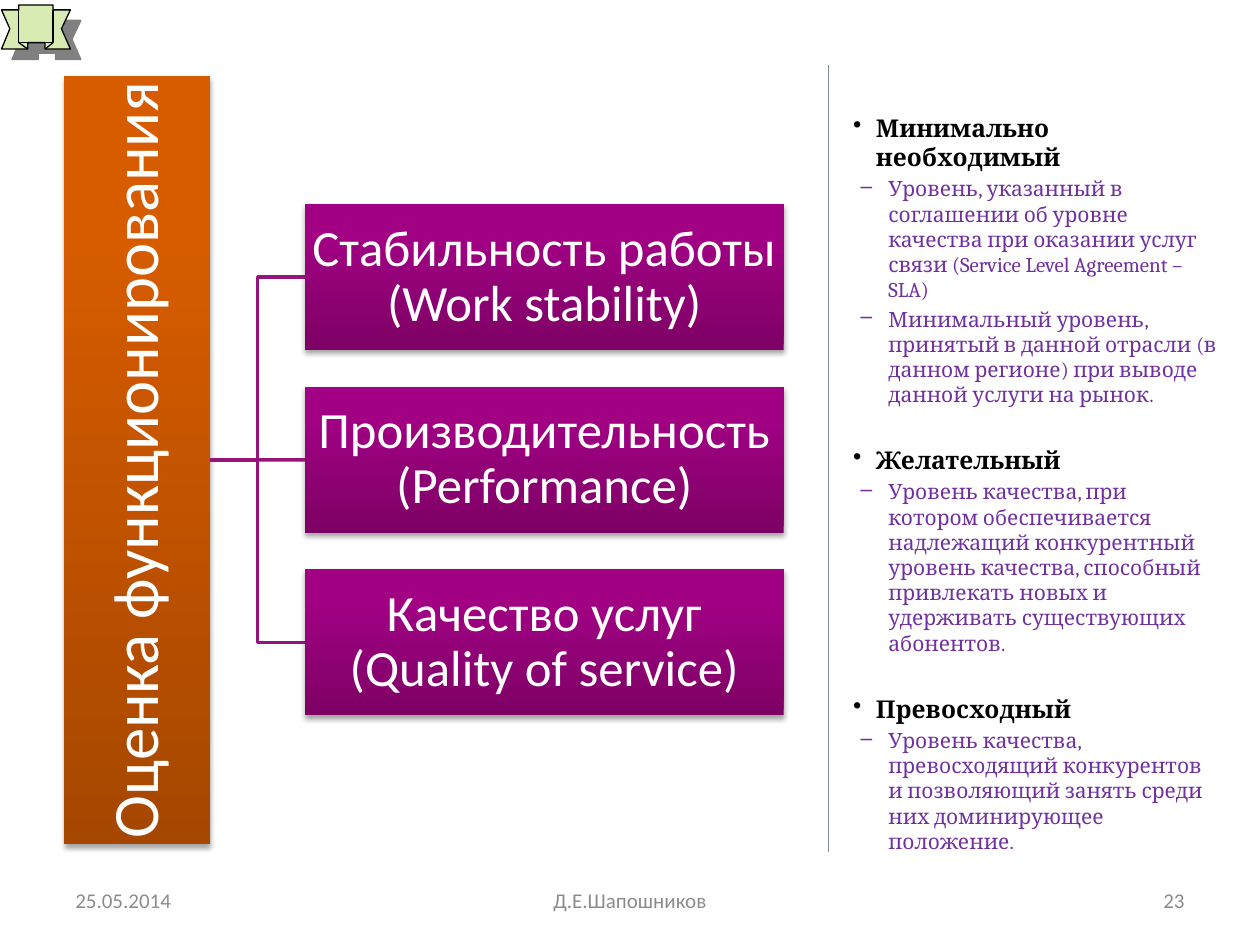
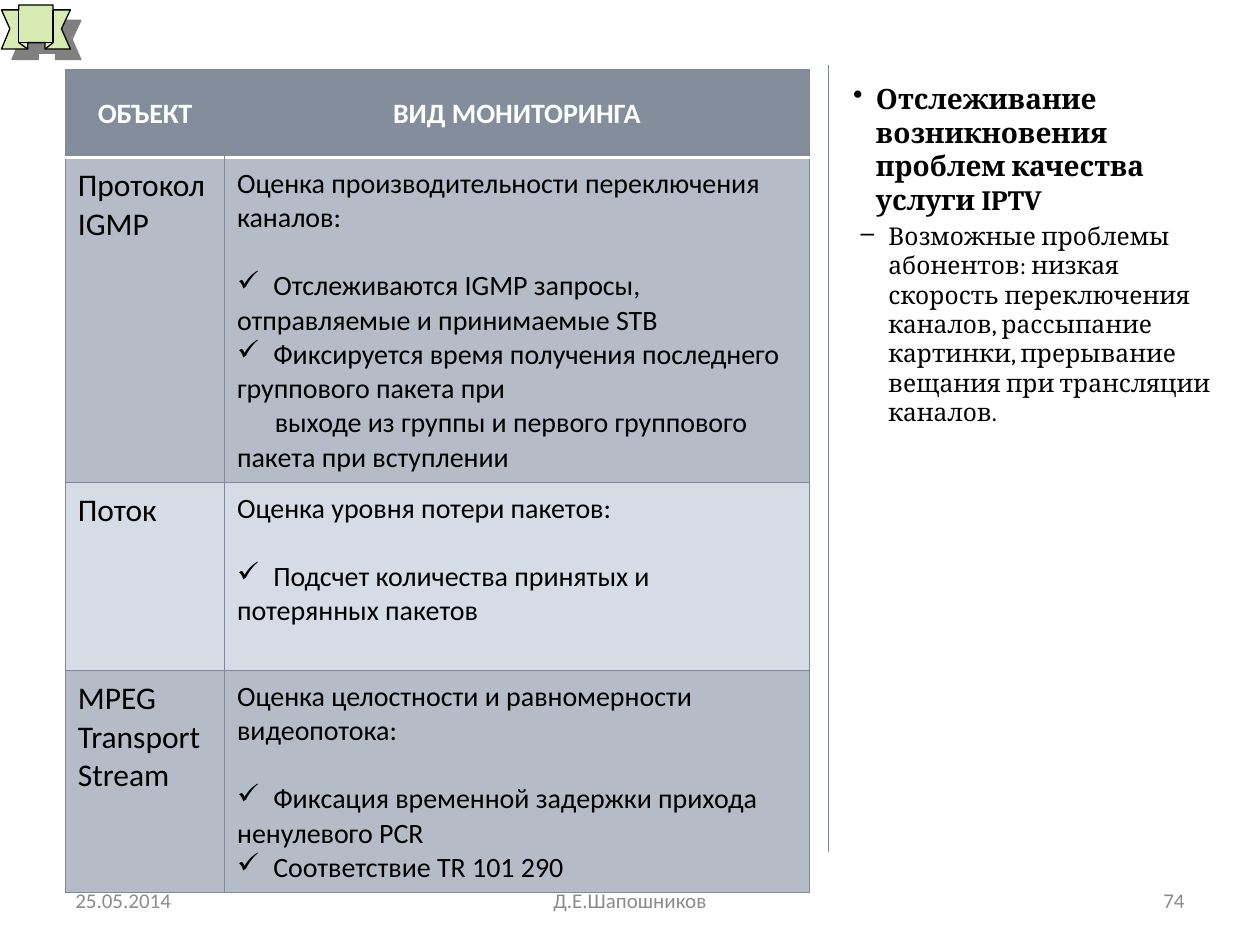
from lxml import etree
from pptx import Presentation
from pptx import util as u
from pptx.dml.color import RGBColor
from pptx.enum import shapes, text
from pptx.oxml import parse_xml
from pptx.oxml.ns import qn

Cm, Pt = u.Cm, u.Pt

# Colours and fonts
WHITE = RGBColor(0xFF, 0xFF, 0xFF)
BLACK = RGBColor(0, 0, 0)
GREY_TEXT = RGBColor(0x8C, 0x8C, 0x8C)
RULE = RGBColor(0x80, 0x8A, 0x98)
VIOLET = RGBColor(0x70, 0x30, 0xA0)
BRANCH = RGBColor(0x94, 0x14, 0x7C)
PLUM = (RGBColor(0x7D, 0x01, 0x65), RGBColor(0xA2, 0x01, 0x84))
ORANGE = (RGBColor(0xA6, 0x47, 0x00), RGBColor(0xD7, 0x5C, 0x00))
RIBBON = RGBColor(0xD8, 0xEB, 0xB3)
HEADER = RGBColor(0x83, 0x8D, 0x9B)
BAND_DARK = RGBColor(0xB5, 0xBC, 0xC7)
BAND_LIGHT = RGBColor(0xD6, 0xDC, 0xE5)
SANS, SERIF = "Calibri", "Cambria"

# Content
DATE, AUTHOR = "25.05.2014", "Д.Е.Шапошников"
ROOT = "Оценка функционирования"
CRITERIA = [
    "Стабильность работы\n(Work stability)",
    "Производительность (Performance)",
    "Качество услуг (Quality of service)",
]
LEVELS = [
    ("Минимально необходимый", [
        "Уровень, указанный в соглашении об уровне качества при оказании "
        "услуг связи (Service Level Agreement – SLA)",
        "Минимальный уровень, принятый в данной отрасли (в данном регионе) "
        "при выводе данной услуги на рынок."]),
    ("Желательный", [
        "Уровень качества, при котором обеспечивается надлежащий конкурентный "
        "уровень качества, способный привлекать новых и удерживать "
        "существующих абонентов."]),
    ("Превосходный", [
        "Уровень качества, превосходящий конкурентов и позволяющий занять "
        "среди них доминирующее положение."]),
]
PROBLEMS = [
    ("Отслеживание возникновения проблем качества услуги IPTV", [
        "Возможные проблемы абонентов: низкая скорость переключения каналов, "
        "рассыпание картинки, прерывание вещания при трансляции каналов."]),
]
TABLE_HEAD = ("ОБЪЕКТ", "ВИД МОНИТОРИНГА")
# Each row: object, purpose, checks, continuation line
MONITORING = [
    ("Протокол IGMP", "Оценка производительности переключения каналов:",
     ["Отслеживаются IGMP запросы, отправляемые и принимаемые STB",
      "Фиксируется время получения последнего группового пакета при"],
     "выходе из группы и первого группового пакета при вступлении"),
    ("Поток", "Оценка уровня потери пакетов:",
     ["Подсчет количества принятых и потерянных пакетов"], None),
    ("MPEG Transport Stream",
     "Оценка целостности и равномерности видеопотока:",
     ["Фиксация временной задержки прихода ненулевого PCR",
      "Соответствие TR 101 290"], None),
]

# Ribbon outline and folds, in tenths of a millimetre
RIBBON_EDGE = [(3, 99), (56, 99), (56, 86), (91, 86), (91, 99), (142, 99),
               (124, 58), (142, 20), (107, 20), (107, 10), (38, 10), (38, 20),
               (3, 20), (20, 58)]
RIBBON_FOLDS = [[(56, 86), (38, 86), (38, 20)], [(38, 86), (56, 99)],
                [(91, 86), (107, 86), (107, 20)], [(107, 86), (91, 99)]]


def apply(target, **values):
    for name, value in values.items():
        setattr(target, name, value)


def element(parent, tag, **attributes):
    return etree.SubElement(parent, qn(tag), attributes)


def write(para, words, size, colour, font=SANS, bold=False, **layout):
    para.text = words
    apply(para, **layout)
    apply(para.font, size=Pt(size), name=font, bold=bold)
    para.font.color.rgb = colour


def bullet(para, mark, left=0, hang=0, tab=None):
    props = para._p.get_or_add_pPr()
    props.set("marL", str(Cm(left)))
    props.set("indent", str(Cm(hang)))
    element(props, "a:buChar", char=mark)
    if tab:
        stops = element(props, "a:tabLst")
        element(stops, "a:tab", pos=str(Cm(tab)), algn="l")


def next_para(frame, first):
    return frame.paragraphs[0] if first else frame.add_paragraph()


def cast_shadow(shape, colour, alpha, blur, distance, degrees):
    shape.shadow.inherit = False
    effects = shape._element.spPr.find(qn("a:effectLst"))
    shadow = element(effects, "a:outerShdw", blurRad=str(Pt(blur)),
                     dist=str(Pt(distance)), dir=str(degrees * 60000),
                     algn="ctr", rotWithShape="0")
    tint = element(shadow, "a:srgbClr", val=str(colour))
    element(tint, "a:alpha", val=str(alpha * 1000))


def connect(page, kind, ends, colour, width):
    line = page.shapes.add_connector(kind, *(Cm(v) for v in ends))
    line.line.color.rgb = colour
    line.line.width = Pt(width)
    element(line._element.spPr, "a:effectLst")
    return line


def text_box(page, left, top, width, height):
    box = page.shapes.add_textbox(Cm(left), Cm(top), Cm(width), Cm(height))
    box.text_frame.word_wrap = True
    return box.text_frame


# Shared parts: ribbon, divider, footer
def draw_ribbon(page):
    def outline(strokes, close):
        builder = page.shapes.build_freeform(*strokes[0][0], scale=Cm(0.01))
        for number, (start, *rest) in enumerate(strokes):
            if number:
                builder.move_to(*start)
            builder.add_line_segments(rest, close=close)
        shape = builder.convert_to_shape()
        shape.line.color.rgb = BLACK
        shape.line.width = Pt(0.75)
        shape.shadow.inherit = False
        return shape

    body = outline([RIBBON_EDGE], True)
    body.fill.solid()
    body.fill.fore_color.rgb = RIBBON
    cast_shadow(body, RGBColor(0x80, 0x80, 0x80), 100, 0, 8.5, 45)
    outline(RIBBON_FOLDS, False).fill.background()


def new_page(deck, number):
    page = deck.slides.add_slide(deck.slide_layouts[6])
    draw_ribbon(page)
    connect(page, shapes.MSO_CONNECTOR.STRAIGHT, (16.7, 1.32, 16.7, 17.18),
            RULE, 0.75)
    align = text.PP_ALIGN
    for words, left, width, side in ((DATE, 1.27, 5.93, align.LEFT),
                                     (AUTHOR, 8.68, 8.04, align.CENTER),
                                     (str(number), 18.2, 5.93, align.RIGHT)):
        frame = text_box(page, left, 17.65, width, 1.01)
        frame.vertical_anchor = text.MSO_ANCHOR.MIDDLE
        write(frame.paragraphs[0], words, 12, GREY_TEXT, alignment=side)
    return page


def side_notes(page, groups, top, size, note_size, note_colour):
    frame = text_box(page, 16.9, top, 7.9, 17.02 - top)
    for number, (heading, notes) in enumerate(groups):
        para = next_para(frame, number == 0)
        bullet(para, "•", 0.51, -0.46)
        write(para, heading, size, BLACK, SERIF, True,
              space_before=Pt(22 if number else 0))
        for note in notes:
            para = frame.add_paragraph()
            bullet(para, "–", 0.76, -0.56)
            write(para, note, note_size, note_colour, SERIF,
                  space_before=Pt(0.2 * note_size))


# Criteria tree
def tree_box(page, words, place, shades, size, inset):
    box = page.shapes.add_shape(shapes.MSO_SHAPE.RECTANGLE,
                                *(Cm(v) for v in place))
    box.line.fill.background()
    box.fill.gradient()
    box.fill.gradient_angle = 90
    for stop, shade, position in zip(box.fill.gradient_stops, shades, (0, 0.8)):
        stop.color.rgb = shade
        stop.position = position
    cast_shadow(box, BLACK, 35, 3.1, 1.8, 90)
    frame = box.text_frame
    apply(frame, word_wrap=True, vertical_anchor=text.MSO_ANCHOR.MIDDLE,
          margin_left=Cm(inset), margin_right=Cm(inset),
          margin_top=Cm(inset), margin_bottom=Cm(inset))
    write(frame.paragraphs[0], words, size, WHITE, line_spacing=0.9,
          alignment=text.PP_ALIGN.CENTER)
    return box


def criteria_tree(page):
    thick, length, middle, pitch = 2.95, 15.49, 9.27, 3.68
    root = tree_box(page, ROOT, (1.29, middle - length / 2, thick, length),
                    ORANGE, 37, 0.08)
    root.text_frame._txBody.bodyPr.set("vert", "vert270")
    for number, words in enumerate(CRITERIA):
        centre = middle + (number - 1) * pitch
        box = tree_box(page, words, (6.15, centre - thick / 2, 9.65, thick),
                       PLUM, 29, 0.05)
        kind = shapes.MSO_CONNECTOR
        branch = connect(page, kind.STRAIGHT if centre == middle else kind.ELBOW,
                         (4.24, middle, 6.15, centre), BRANCH, 2)
        branch.begin_connect(root, 3)
        branch.end_connect(box, 1)


# Monitoring table
def border(cell, sides):
    props = cell._tc.get_or_add_tcPr()
    for place, side in enumerate("LRTB"):
        colour, width = sides.get(side, (RULE, 0.75))
        paint = (f'<a:solidFill><a:srgbClr val="{colour}"/></a:solidFill>'
                 if colour else "<a:noFill/>")
        props.insert(place, parse_xml(
            f'<a:ln{side} xmlns:a="http://schemas.openxmlformats.org/drawingml'
            f'/2006/main" w="{Pt(width)}">{paint}</a:ln{side}>'))


def fill_checks(frame, purpose, checks, continuation):
    write(frame.paragraphs[0], purpose, 16, BLACK)
    for number, check in enumerate(checks):
        para = frame.add_paragraph()
        bullet(para, "✓", tab=0.73)
        write(para, "\t" + check, 16, BLACK,
              space_before=Pt(0 if number else 19.5))
    if continuation:
        para = frame.add_paragraph()
        para._p.get_or_add_pPr().set("indent", str(Cm(0.76)))
        write(para, continuation, 16, BLACK)


def monitoring_table(page):
    widths, heights = (3.21, 11.78), (1.78, 6.55, 3.79, 4.48)
    table = page.shapes.add_table(
        len(heights), len(widths), Cm(1.32), Cm(1.4),
        Cm(sum(widths)), Cm(sum(heights))).table
    apply(table, first_row=False, horz_banding=False)
    for column, width in zip(table.columns, widths):
        column.width = Cm(width)
    for row, height in zip(table.rows, heights):
        row.height = Cm(height)

    white_edge, no_edge = (WHITE, 2), (None, 0)
    for column, words in enumerate(TABLE_HEAD):
        cell = table.cell(0, column)
        cell.vertical_anchor = text.MSO_ANCHOR.MIDDLE
        write(cell.text_frame.paragraphs[0], words, 16, WHITE, bold=True,
              alignment=text.PP_ALIGN.CENTER)
    for row, (subject, *details) in enumerate(MONITORING, 1):
        write(table.cell(row, 0).text_frame.paragraphs[0], subject, 18, BLACK)
        fill_checks(table.cell(row, 1).text_frame, *details)

    bands = (HEADER, BAND_DARK, BAND_LIGHT, BAND_DARK)
    for row, band in enumerate(bands):
        for column in range(len(widths)):
            cell = table.cell(row, column)
            apply(cell, margin_left=Cm(0.25), margin_right=Cm(0.25),
                  margin_top=Cm(0.18), margin_bottom=Cm(0.18))
            cell.fill.solid()
            cell.fill.fore_color.rgb = band
            sides = {}
            if row == 0:
                sides = {"B": white_edge, "LR"[1 - column]: no_edge}
            elif row == 1:
                sides = {"T": white_edge}
            border(cell, sides)


def main():
    deck = Presentation()
    apply(deck, slide_width=Cm(25.4), slide_height=Cm(19.05))

    page = new_page(deck, 23)
    criteria_tree(page)
    side_notes(page, LEVELS, 2.15, 14, 12, VIOLET)

    page = new_page(deck, 74)
    side_notes(page, PROBLEMS, 1.52, 16, 14, BLACK)
    monitoring_table(page)

    deck.save("out.pptx")


if __name__ == "__main__":
    main()
